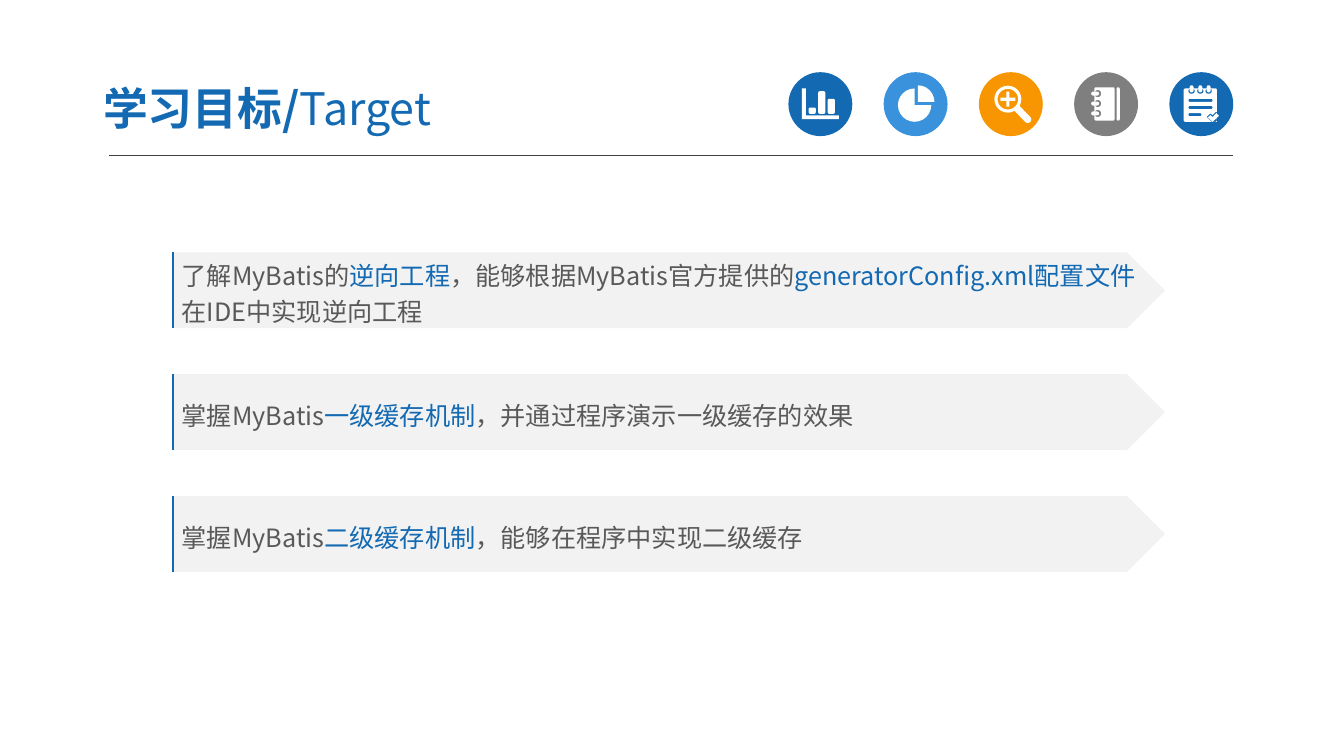
from math import cos, radians, sin

from lxml.etree import SubElement
from pptx import Presentation
from pptx.dml.color import RGBColor
from pptx.enum.shapes import MSO_CONNECTOR, MSO_SHAPE
from pptx.enum.text import MSO_ANCHOR, MSO_AUTO_SIZE, PP_ALIGN
from pptx.oxml.ns import qn
from pptx.util import Cm, Pt

FONT = "Noto Sans CJK SC"
COLORS = {
    "blue": "1369B2",
    "light_blue": "3992DB",
    "orange": "F79600",
    "gray": "7F7F7F",
    "rule": "404040",
    "panel": "F2F2F2",
    "text": "595959",
    "white": "FFFFFF",
}
ICON_LEFT, ICON_TOP, ICON_SIZE, ICON_STEP = 19.87, 1.82, 1.61, 2.4
GOALS = [
    [("了解MyBatis的", "text"), ("逆向工程", "blue"),
     ("，能够根据MyBatis官方提供的", "text"),
     ("generatorConfig.xml配置文件", "blue"), ("在IDE中实现逆向工程", "text")],
    [("掌握MyBatis", "text"), ("一级缓存机制", "blue"),
     ("，并通过程序演示一级缓存的效果", "text")],
    [("掌握MyBatis", "text"), ("二级缓存机制", "blue"),
     ("，能够在程序中实现二级缓存", "text")],
]


def color(name):
    """Return the palette colour with this name."""
    return RGBColor.from_string(COLORS[name])


def add_run(paragraph, text, size, color_name, bold=False):
    """Append one formatted run to a paragraph."""
    run = paragraph.add_run()
    run.text = text
    run.font.size = Pt(size)
    run.font.bold = bold
    run.font.name = FONT
    run.font.color.rgb = color(color_name)
    SubElement(run.font._element, qn("a:ea")).set("typeface", FONT)


def paint(shape, fill):
    """Give a shape a plain fill, no line and no shadow."""
    shape.shadow.inherit = False
    shape.fill.solid()
    shape.fill.fore_color.rgb = color(fill)
    shape.line.fill.background()


def add_filled(slide, preset, left, top, width, height, fill):
    """Add a painted preset shape."""
    shape = slide.shapes.add_shape(preset, Cm(left), Cm(top), Cm(width), Cm(height))
    paint(shape, fill)
    return shape


def add_line(slide, start, end, color_name, width):
    """Add a straight line between two points given in centimetres."""
    line = slide.shapes.add_connector(
        MSO_CONNECTOR.STRAIGHT, *(Cm(value) for value in start + end))
    line.line.color.rgb = color(color_name)
    line.line.width = Pt(width)
    SubElement(line._element.spPr, qn("a:effectLst"))


def add_title(slide):
    """Place and write the slide title."""
    title = slide.shapes.title
    title.left, title.top, title.width, title.height = Cm(2.27), Cm(1.8), Cm(13.26), Cm(1.83)
    frame = title.text_frame
    frame.auto_size = MSO_AUTO_SIZE.NONE
    frame.word_wrap = True
    frame.vertical_anchor = MSO_ANCHOR.MIDDLE
    frame.margin_left = frame.margin_right = Cm(0.33)
    frame.margin_top = frame.margin_bottom = Cm(0.18)
    paragraph = frame.paragraphs[0]
    paragraph.alignment = PP_ALIGN.LEFT
    paragraph.space_before = Pt(0)
    add_run(paragraph, "学习目标/", 32, "blue", bold=True)
    add_run(paragraph, "Target", 32, "blue")


def add_goal(slide, top, runs):
    """Add one goal: an arrow panel with a blue bar on its left edge."""
    panel = add_filled(slide, MSO_SHAPE.PENTAGON, 4.33, top, 25.03, 1.91, "panel")
    frame = panel.text_frame
    frame.word_wrap = True
    frame.vertical_anchor = MSO_ANCHOR.MIDDLE
    paragraph = frame.paragraphs[0]
    paragraph.alignment = PP_ALIGN.LEFT
    paragraph.line_spacing = 1.2
    for text, color_name in runs:
        add_run(paragraph, text, 18, color_name)
    add_line(slide, (4.36, top), (4.36, top + 1.91), "blue", 1.5)


def arc(x, y, radius, start=0, end=345, step=15):
    """Return points along an arc, with angles clockwise from the right."""
    return [(x + radius * cos(radians(angle)), y + radius * sin(radians(angle)))
            for angle in range(start, end + 1, step)]


def box(left, top, width, height, radius=0.04):
    """Return the outline of a box with rounded corners."""
    right, bottom = left + width - radius, top + height - radius
    left, top = left + radius, top + radius
    centers = [(right, bottom), (left, bottom), (left, top), (right, top)]
    return [point for index, (x, y) in enumerate(centers)
            for point in arc(x, y, radius, 90 * index, 90 * index + 90, 30)]


def bar_chart():
    """Return the contours of a bar chart."""
    axes = [(0.34, 0.41), (0.44, 0.41), (0.44, 1.09), (1.27, 1.09), (1.27, 1.18), (0.34, 1.18)]
    heights = (0.16, 0.57, 0.38)
    return [axes] + [box(0.51 + 0.24 * index, 1.05 - height, 0.18, height)
                     for index, height in enumerate(heights)]


def pie_chart():
    """Return the contours of a pie with a lifted quarter."""
    return [[(0.78, 0.83)] + arc(0.78, 0.83, 0.42, 0, 270),
            [(0.86, 0.75)] + arc(0.86, 0.75, 0.42, 270, 360)]


def magnifier():
    """Return the contours of a magnifier with a plus sign."""
    x, y, arm, half = 0.73, 0.68, 0.19, 0.04
    plus = [(-half, -arm), (half, -arm), (half, -half), (arm, -half), (arm, half), (half, half),
            (half, arm), (-half, arm), (-half, half), (-arm, half), (-arm, -half), (-half, -half)]
    handle = arc(x, y, 0.34, 30, 60) + arc(1.23, 1.19, 0.09, -45, 135)[::-1]
    return [arc(x, y, 0.34), arc(x, y, 0.26), [(x + dx, y + dy) for dx, dy in plus], handle]


def notebook():
    """Return the contours of a ring-bound notebook."""
    contours = [box(0.51, 0.38, 0.51, 0.84), box(1.07, 0.38, 0.08, 0.84)]
    for center in (0.54, 0.79, 1.04):
        contours += [box(0.51, center - 0.09, 0.17, 0.18, 0.08),
                     box(0.43, center - 0.05, 0.2, 0.1, 0.05)]
    return contours


def notepad():
    """Return the contours of a checked notepad."""
    contours = [box(0.36, 0.41, 0.84, 0.84)]
    contours += [box(0.48, 0.67 + 0.18 * index, width, 0.08)
                 for index, width in enumerate((0.61, 0.61, 0.33))]
    for center in (0.56, 0.78, 0.99):
        contours += [box(center - 0.08, 0.41, 0.16, 0.13, 0.06),
                     box(center - 0.05, 0.33, 0.1, 0.18, 0.05)]
    gap = [(0.94, 1.13), (1.03, 1.04), (1.09, 1.08), (1.17, 1), (1.2, 1), (1.2, 1.25), (1.06, 1.25)]
    check = [(0.97, 1.14), (1.03, 1.08), (1.09, 1.13), (1.18, 1.03), (1.25, 1.1), (1.09, 1.25)]
    return contours + [gap, check]


def add_icon(slide, left, fill, contours):
    """Add a coloured disc with a white glyph on it."""
    add_filled(slide, MSO_SHAPE.OVAL, left, ICON_TOP, ICON_SIZE, ICON_SIZE, fill)
    outlines = [[(Cm(left + x), Cm(ICON_TOP + y)) for x, y in contour] for contour in contours]
    builder = slide.shapes.build_freeform(*outlines[0][0])
    for index, outline in enumerate(outlines):
        if index:
            builder.move_to(*outline[0])
        builder.add_line_segments(outline[1:], close=True)
    paint(builder.convert_to_shape(), "white")


def main():
    """Build the learning goals slide."""
    presentation = Presentation()
    presentation.slide_width, presentation.slide_height = Cm(33.87), Cm(19.05)
    slide = presentation.slides.add_slide(presentation.slide_layouts[5])
    add_title(slide)
    add_line(slide, (2.75, 3.93), (31.07, 3.93), "rule", 0.75)
    icons = [("blue", bar_chart()), ("light_blue", pie_chart()), ("orange", magnifier()),
             ("gray", notebook()), ("blue", notepad())]
    for index, (fill, contours) in enumerate(icons):
        add_icon(slide, ICON_LEFT + ICON_STEP * index, fill, contours)
    for index, runs in enumerate(GOALS):
        add_goal(slide, 6.36 + 3.07 * index, runs)
    presentation.save("out.pptx")


if __name__ == "__main__":
    main()
